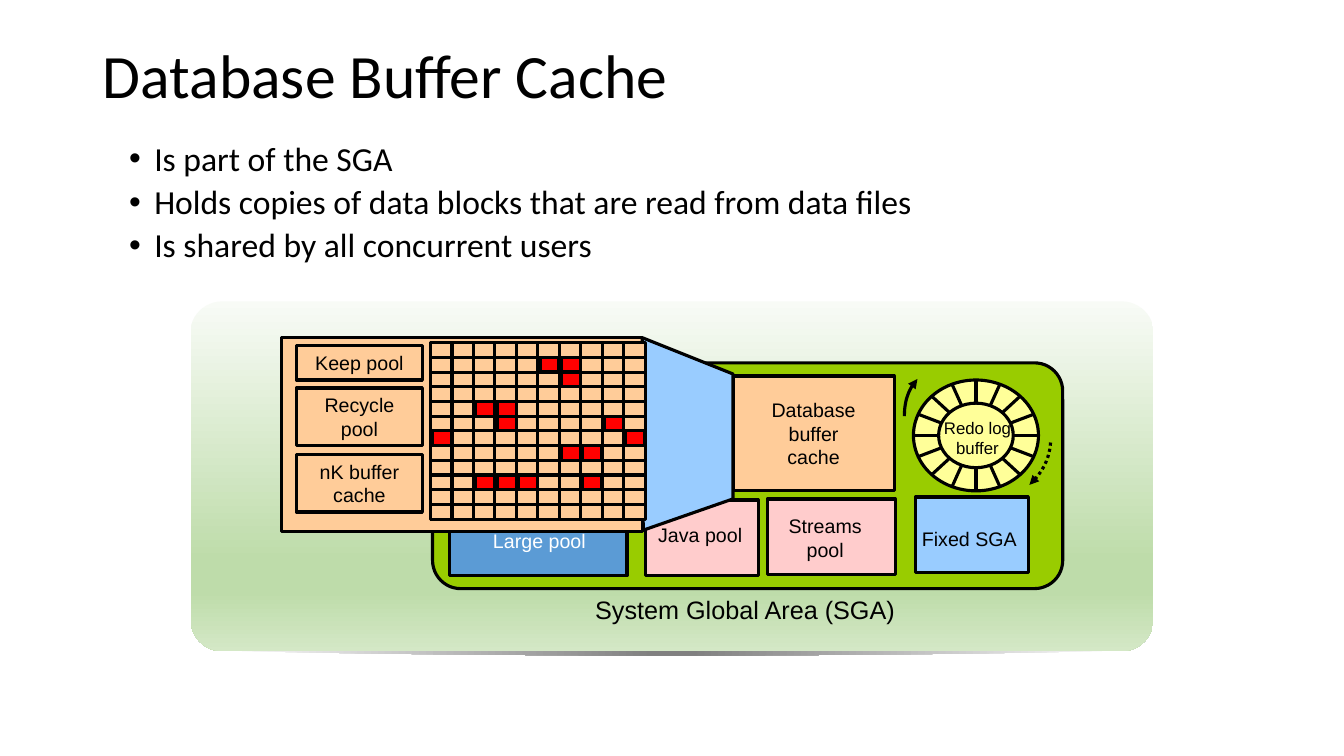
from dataclasses import dataclass
from math import cos, pi, sin

from lxml import etree
from pptx import Presentation
from pptx.dml.color import RGBColor
from pptx.enum.dml import MSO_LINE
from pptx.enum.shapes import MSO_CONNECTOR, MSO_SHAPE as Shape
from pptx.enum.text import MSO_ANCHOR as Anchor, MSO_AUTO_SIZE, PP_ALIGN as Align
from pptx.oxml import parse_xml
from pptx.oxml.ns import nsdecls, qn
from pptx.util import Inches, Pt


@dataclass(frozen=True)
class Theme:
    heading_font: str = "Calibri"
    label_font: str = "Arial"
    black: str = "000000"
    white: str = "FFFFFF"
    green: str = "99CC00"
    blue: str = "5B9BD5"
    sky: str = "99CCFF"
    peach: str = "FFCC99"
    pink: str = "FFCCCC"
    yellow: str = "FFFF99"
    red: str = "FF0000"
    title_size: int = 44
    body_size: int = 24
    caption_size: int = 18
    label_size: int = 14
    small_size: int = 12
    stroke: float = 2.25


THEME = Theme()
TITLE = "Database Buffer Cache"
BULLETS = [
    "Is part of the SGA",
    "Holds copies of data blocks that are read from data files",
    "Is shared by all concurrent users",
]
PANEL_STOPS = [(0, "F8FBF6"), (74, "BEDCAA"), (83, "BEDCAA"), (100, "D4E8C6")]
SHADOW_STOPS = [(4, "808080"), (100, "FFFFFF")]

# left, top, width, height, fill
SGA_BOX = (4.29, 3.6, 6.25, 2.24)
SGA_POOLS = [
    (4.46, 4.96, 1.76, 0.75, THEME.blue),
    (2.79, 3.35, 3.58, 1.92, THEME.peach),
    (6.4, 4.96, 1.12, 0.75, THEME.pink),
    (7.27, 3.73, 1.6, 1.14, THEME.peach),
    (7.61, 4.95, 1.27, 0.75, THEME.pink),
    (9.08, 4.93, 1.12, 0.75, THEME.sky),
]
# text, left, top, width, height, size, colour
LABELS = [
    ("Database\vbuffer\vcache", 7.27, 3.73, 1.6, 1.14, THEME.label_size, THEME.black),
    ("Streams pool", 7.56, 5.05, 1.25, 0.57, THEME.label_size, THEME.black),
    ("Large pool", 4.64, 5.2, 1.42, 0.33, THEME.label_size, THEME.white),
    ("Java pool", 6.36, 5.14, 1.17, 0.33, THEME.label_size, THEME.black),
    ("Fixed SGA", 9.03, 5.18, 1.17, 0.33, THEME.label_size, THEME.black),
    ("System Global Area (SGA)", 5.79, 5.85, 3.2, 0.4, THEME.caption_size, THEME.black),
    ("Redo log buffer", 9.07, 4.09, 1.25, 0.51, THEME.small_size, THEME.black),
]
CACHE_POOLS = [("Keep pool", 3.43, 0.34), ("Recycle pool", 3.85, 0.57),
               ("nK buffer cache", 4.51, 0.57)]
ZOOM_WEDGE = [(7.27, 3.71), (6.37, 3.35), (6.38, 5.26), (7.27, 4.95)]

GRID_LEFT, GRID_TOP, GRID_WIDTH, GRID_HEIGHT = 4.27, 3.4, 2.13, 1.75
GRID_COLUMNS, GRID_ROWS = 10, 12
USED_BLOCKS = {1: (5, 6), 2: (6,), 4: (2, 3), 5: (3, 8), 6: (0, 9),
               7: (6, 7), 9: (2, 3, 4, 7)}  # row: columns

RING_X, RING_Y, RING_SLOTS = 9.68, 4.32, 16
OUTER_RADII, INNER_RADII = (0.62, 0.55), (0.37, 0.32)
# Bezier control points, dash
RING_ARROWS = [
    ([(10.42, 4.39), (10.41, 4.54), (10.35, 4.68), (10.21, 4.81)], MSO_LINE.ROUND_DOT),
    ([(8.97, 4.13), (8.97, 3.98), (9.01, 3.86), (9.1, 3.76)], MSO_LINE.SOLID),
]

prs = Presentation()
prs.slide_width, prs.slide_height = Inches(13.33), Inches(7.5)
slide = prs.slides.add_slide(prs.slide_layouts[1])
shapes = slide.shapes


def place(placeholder, *box):
    placeholder.left, placeholder.top, placeholder.width, placeholder.height = map(Inches, box)


def style_text(paragraph, font, size, color):
    for run in paragraph.runs:
        run.font.name, run.font.size = font, Pt(size)
        run.font.color.rgb = RGBColor.from_string(color)


def outline(part):
    part.line.color.rgb = RGBColor.from_string(THEME.black)
    part.line.width = Pt(THEME.stroke)


def paint(part, fill):
    part.shadow.inherit = False
    part.fill.solid()
    part.fill.fore_color.rgb = RGBColor.from_string(fill)
    outline(part)


def paint_gradient(part, stops, direction):
    part.shadow.inherit = False
    part.line.fill.background()
    part.fill.background()
    stop_xml = "".join(f'<a:gs pos="{pos * 1000}"><a:srgbClr val="{color}"/></a:gs>'
                       for pos, color in stops)
    properties = part._element.spPr
    properties.replace(properties.find(qn("a:noFill")), parse_xml(
        f'<a:gradFill {nsdecls("a")} rotWithShape="1"><a:gsLst>{stop_xml}</a:gsLst>'
        f'{direction}</a:gradFill>'))


def add_box(kind, left, top, width, height, fill):
    box = shapes.add_shape(kind, *map(Inches, (left, top, width, height)))
    paint(box, fill)
    return box


def write_label(part, text, size, color):
    frame = part.text_frame
    frame.word_wrap = True
    frame.vertical_anchor = Anchor.MIDDLE
    frame.text = text
    frame.paragraphs[0].alignment = Align.CENTER
    style_text(frame.paragraphs[0], THEME.label_font, size, color)


def add_line(x1, y1, x2, y2):
    line = shapes.add_connector(MSO_CONNECTOR.STRAIGHT, *map(Inches, (x1, y1, x2, y2)))
    outline(line)
    etree.SubElement(line._element.spPr, qn("a:effectLst"))


def add_outline(points, close=True):
    start, *rest = [(Inches(x), Inches(y)) for x, y in points]
    builder = shapes.build_freeform(*start)
    builder.add_line_segments(rest, close=close)
    return builder.convert_to_shape()


def curve(controls, steps=12):
    """Points along a cubic Bezier curve."""
    def at(t):
        weights = ((1 - t) ** 3, 3 * t * (1 - t) ** 2, 3 * t * t * (1 - t), t ** 3)
        return tuple(sum(w * c[axis] for w, c in zip(weights, controls)) for axis in (0, 1))
    return [at(step / steps) for step in range(steps + 1)]


def ring_point(radii, angle):
    return RING_X + radii[0] * cos(angle), RING_Y + radii[1] * sin(angle)


def add_heading():
    title, body = slide.placeholders
    place(title, 0.92, 0.4, 11.5, 1.45)
    title.text_frame.text = TITLE
    title.text_frame.vertical_anchor = Anchor.TOP
    heading = title.text_frame.paragraphs[0]
    heading.alignment, heading.line_spacing = Align.LEFT, 0.9
    style_text(heading, THEME.heading_font, THEME.title_size, THEME.black)

    place(body, 0.68, 1.36, 11.97, 1.35)
    body.text_frame.text = "\n".join(BULLETS)
    body.text_frame.auto_size = MSO_AUTO_SIZE.NONE
    for index, bullet in enumerate(body.text_frame.paragraphs):
        bullet.level, bullet.line_spacing = 1, 0.9
        bullet.space_before = Pt(5 if index else 0)
        properties = bullet._p.get_or_add_pPr()
        properties.set("marL", str(Inches(0.75)))
        properties.set("indent", str(Inches(-0.25)))
        etree.SubElement(properties, qn("a:buFont")).set("typeface", THEME.label_font)
        etree.SubElement(properties, qn("a:buChar")).set("char", "•")
        style_text(bullet, THEME.heading_font, THEME.body_size, THEME.black)


def add_panel():
    shadow = add_outline(curve([(11.22, 6.45), (9.0, 6.52), (4.33, 6.52), (2.11, 6.45)], 40))
    paint_gradient(shadow, SHADOW_STOPS, '<a:path path="circle"><a:fillToRect l="50000" '
                   't="50000" r="50000" b="50000"/></a:path>')
    panel = shapes.add_shape(Shape.ROUNDED_RECTANGLE, *map(Inches, (1.89, 2.99, 9.55, 3.47)))
    panel.adjustments[0] = 0.09
    paint_gradient(panel, PANEL_STOPS, '<a:lin ang="5400000" scaled="0"/>')


def add_block_grid():
    column, row = GRID_WIDTH / GRID_COLUMNS, GRID_HEIGHT / GRID_ROWS
    right, bottom = GRID_LEFT + GRID_WIDTH, GRID_TOP + GRID_HEIGHT
    add_box(Shape.RECTANGLE, GRID_LEFT, GRID_TOP, GRID_WIDTH, GRID_HEIGHT, THEME.peach)
    for x in (GRID_LEFT + i * column for i in range(GRID_COLUMNS + 1)):
        add_line(x, GRID_TOP, x, bottom)
    for y in (GRID_TOP + i * row for i in range(GRID_ROWS + 1)):
        add_line(GRID_LEFT, y, right, y)
    for row_index, columns in USED_BLOCKS.items():
        for column_index in columns:
            add_box(Shape.RECTANGLE, GRID_LEFT + column_index * column + 0.02,
                    GRID_TOP + row_index * row, 0.19, row, THEME.red)


def add_redo_ring():
    for rx, ry in (OUTER_RADII, INNER_RADII):
        add_box(Shape.OVAL, RING_X - rx, RING_Y - ry, 2 * rx, 2 * ry, THEME.yellow)
    for slot in range(RING_SLOTS):
        angle = 2 * pi * slot / RING_SLOTS
        add_line(*ring_point(INNER_RADII, angle), *ring_point(OUTER_RADII, angle))
    for controls, dash in RING_ARROWS:
        arrow = add_outline(curve(controls), close=False)
        arrow.shadow.inherit = False
        arrow.fill.background()
        outline(arrow)
        arrow.line.dash_style = dash
        etree.SubElement(arrow.line._get_or_add_ln(), qn("a:tailEnd")).set("type", "triangle")


def main():
    add_heading()
    add_panel()
    add_box(Shape.ROUNDED_RECTANGLE, *SGA_BOX, THEME.green).adjustments[0] = 0.125
    for pool in SGA_POOLS:
        add_box(Shape.RECTANGLE, *pool)
    for text, top, height in CACHE_POOLS:
        write_label(add_box(Shape.RECTANGLE, 2.94, top, 1.25, height, THEME.peach),
                    text, THEME.label_size, THEME.black)
    paint(add_outline(ZOOM_WEDGE), THEME.sky)
    add_block_grid()
    add_redo_ring()
    for text, left, top, width, height, size, color in LABELS:
        label = shapes.add_textbox(*map(Inches, (left, top, width, height)))
        write_label(label, text, size, color)
    prs.save("out.pptx")


if __name__ == "__main__":
    main()
